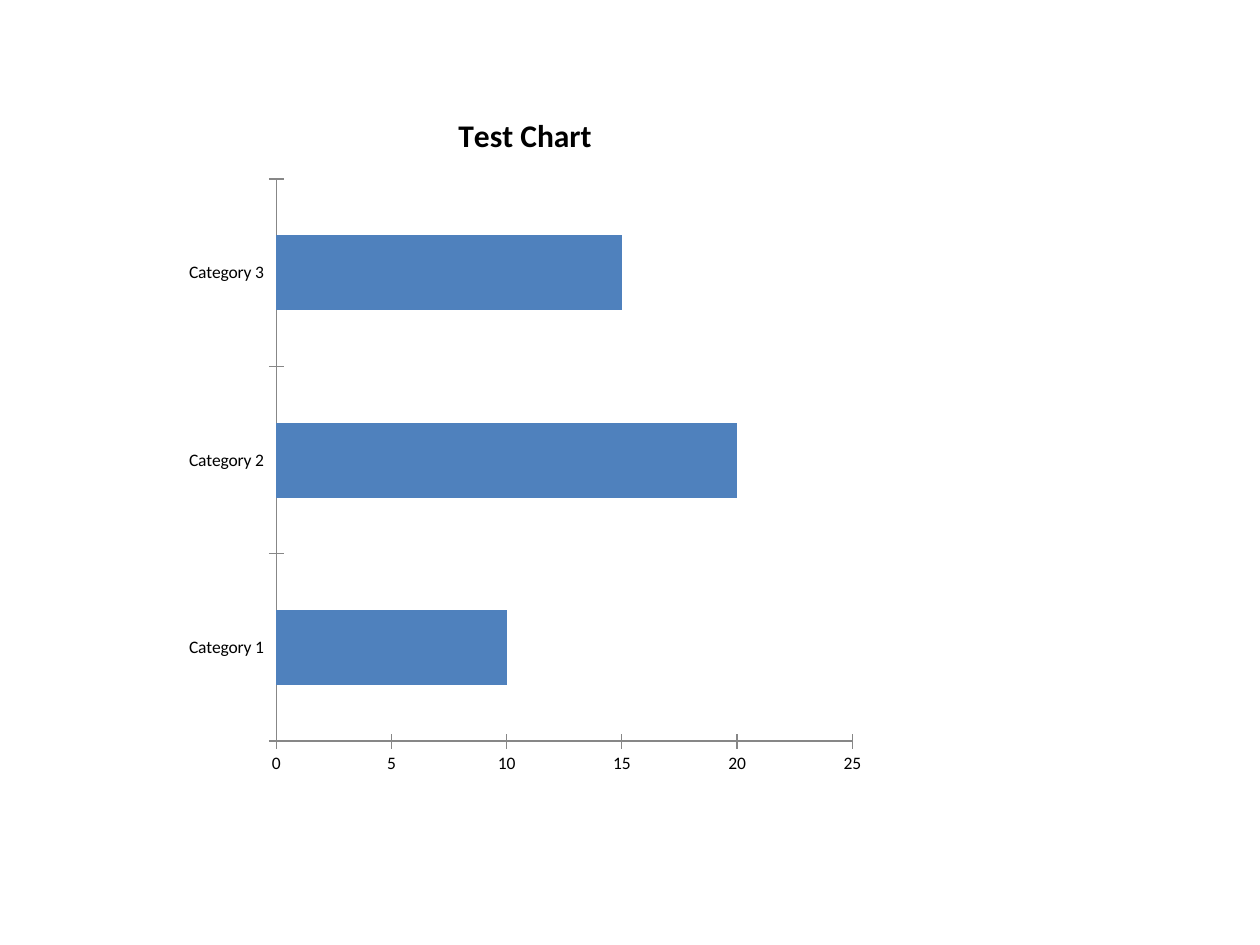
from dataclasses import dataclass

from pptx import Presentation
from pptx.chart.data import CategoryChartData as ChartData
from pptx.dml.color import RGBColor as RGB
from pptx.enum.chart import XL_CHART_TYPE as ChartType, XL_TICK_MARK as Tick
from pptx.util import Cm, Pt

COLORS = {"text": "000000", "bar": "4F81BD", "axis": "878787"}
FONT = "Calibri"


@dataclass
class Bar:
    label: str
    value: int


BARS = [Bar("Category 1", 10), Bar("Category 2", 20), Bar("Category 3", 15)]


def set_font(font, size: int, bold: bool = False) -> None:
    """Apply the chart typeface, size, weight and text colour."""
    for name, value in {"name": FONT, "size": Pt(size), "bold": bold}.items():
        setattr(font, name, value)
    font.color.rgb = RGB.from_string(COLORS["text"])


def style_axis(axis) -> None:
    """Give an axis crossing ticks, a grey line and no gridlines."""
    formats = {
        "has_major_gridlines": False,
        "major_tick_mark": Tick.CROSS,
        "minor_tick_mark": Tick.NONE,
    }
    for name, value in formats.items():
        setattr(axis, name, value)
    axis.format.line.width = Pt(0.75)
    axis.format.line.color.rgb = RGB.from_string(COLORS["axis"])
    set_font(axis.tick_labels.font, 10)


def add_bar_chart(s, title: str, bars: list[Bar]) -> None:
    """Add the titled horizontal bar chart."""
    data = ChartData()
    data.categories = [bar.label for bar in bars]
    data.add_series("Series 1", [bar.value for bar in bars])
    frame = s.shapes.add_chart(
        ChartType.BAR_CLUSTERED, Cm(3.53), Cm(1.76), Cm(14.11), Cm(14.11), data
    )
    chart = frame.chart
    set_font(chart.font, 10)
    chart.has_legend = False
    chart.has_title = True
    chart.chart_title.include_in_layout = True
    p = chart.chart_title.text_frame.paragraphs[0]
    r = p.add_run()
    r.text = title
    set_font(r.font, 18, bold=True)
    for axis in (chart.category_axis, chart.value_axis):
        style_axis(axis)
    plot = chart.plots[0]
    plot.gap_width = 150
    plot.vary_by_categories = False
    fill = plot.series[0].format.fill
    fill.solid()
    fill.fore_color.rgb = RGB.from_string(COLORS["bar"])


def main() -> None:
    """Build and save the slide."""
    prs = Presentation()
    prs.slide_width, prs.slide_height = Cm(25.4), Cm(19.05)
    s = prs.slides.add_slide(prs.slide_layouts[6])
    add_bar_chart(s, "Test Chart", BARS)
    prs.save("out.pptx")


if __name__ == "__main__":
    main()
